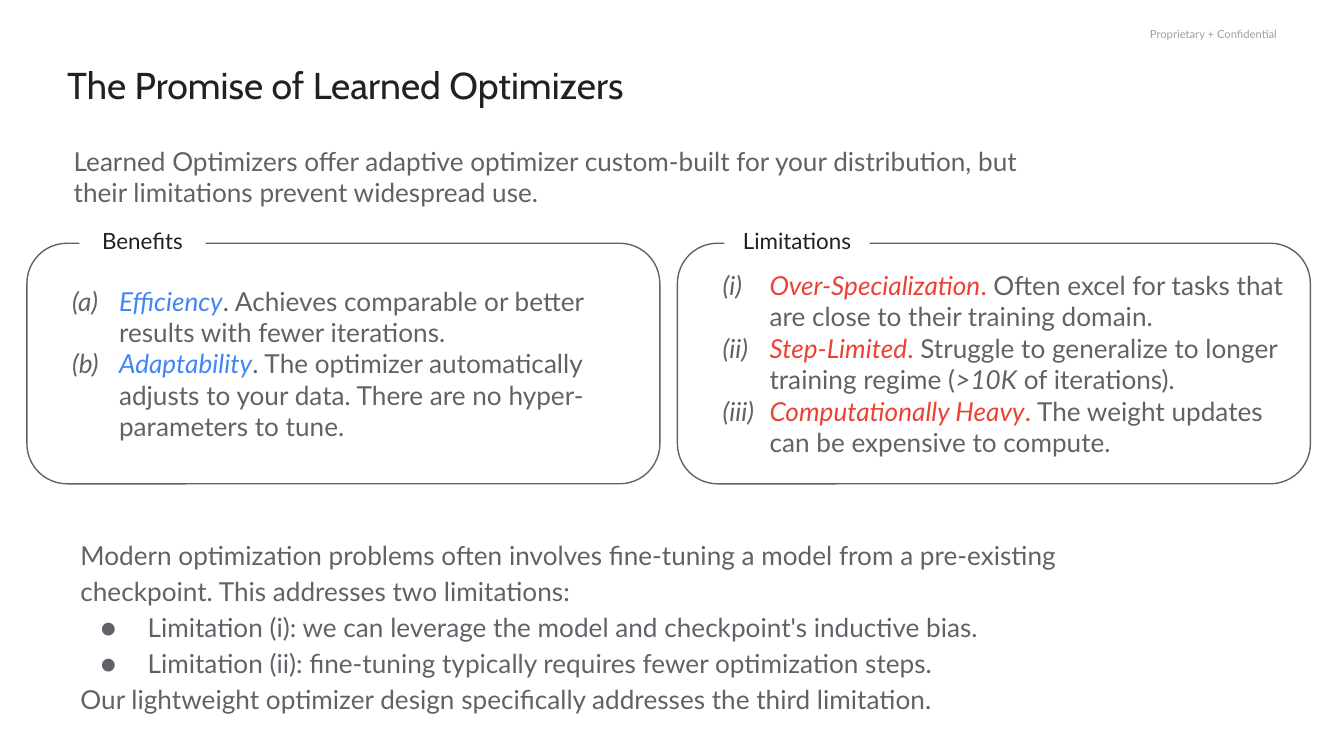
from dataclasses import dataclass
from typing import Optional

from lxml.etree import SubElement
from pptx import Presentation
from pptx.dml.color import RGBColor
from pptx.enum.shapes import MSO_SHAPE as Shape
from pptx.enum.text import MSO_ANCHOR as Anchor, MSO_AUTO_SIZE as AutoSize, PP_ALIGN as Align
from pptx.oxml.ns import qn
from pptx.util import Inches, Pt

COLORS = {"ink": "202124", "gray": "5F6368", "pale": "9AA0A6",
          "blue": "4285F4", "red": "EA4335", "white": "FFFFFF"}
WIDTH, HEIGHT = Inches(10), Inches(5.625)
COLUMN, ROW = WIDTH / 100, HEIGHT / 56.25  # square grid cells


@dataclass(frozen=True)
class Area:
    """A place on the slide, in grid columns and rows."""
    column: float
    row: float
    columns: float
    rows: float

    def place(self) -> tuple[int, int, int, int]:
        return (round(self.column * COLUMN), round(self.row * ROW),
                round(self.columns * COLUMN), round(self.rows * ROW))


@dataclass(frozen=True)
class Span:
    text: str
    color: str = "gray"
    italic: bool = False


@dataclass(frozen=True)
class Line:
    spans: list[Span]
    bullet: Optional[str] = None  # a character or a numbering scheme


@dataclass(frozen=True)
class Card:
    column: float
    label: str
    label_column: float
    label_columns: float
    lines: list[Line]


def rgb(name: str) -> RGBColor:
    return RGBColor.from_string(COLORS[name])


def add_bullet(para, bullet: str) -> None:
    props = para._p.get_or_add_pPr()
    props.set("marL", str(Inches(0.5)))
    props.set("indent", str(Inches(-0.35)))
    SubElement(SubElement(props, qn("a:buClr")), qn("a:srgbClr")).set("val", COLORS["gray"])
    SubElement(props, qn("a:buFont")).set("typeface", "Lato")
    if len(bullet) == 1:
        SubElement(props, qn("a:buChar")).set("char", bullet)
    else:
        SubElement(props, qn("a:buAutoNum")).set("type", bullet)


def write(shape, lines: list[Line], size: float = 14, font: str = "Lato",
          align=Align.LEFT, anchor=Anchor.TOP, inset: float = 0.1,
          spacing: float = 1.0) -> None:
    frame = shape.text_frame
    frame.word_wrap = True
    frame.auto_size = AutoSize.NONE
    frame.vertical_anchor = anchor
    frame.margin_left = frame.margin_right = Inches(inset)
    frame.margin_top = frame.margin_bottom = Inches(inset)
    for number, line in enumerate(lines):
        para = frame.add_paragraph() if number else frame.paragraphs[0]
        if line.bullet:
            add_bullet(para, line.bullet)
        para.alignment = align
        para.line_spacing = spacing
        for span in line.spans:
            run = para.add_run()
            run.text = span.text
            run.font.name = font
            run.font.size = Pt(size)
            run.font.italic = span.italic
            run.font.color.rgb = rgb(span.color)


def add_text(page, area: Area, lines: list[Line], **style) -> None:
    write(page.shapes.add_textbox(*area.place()), lines, **style)


def add_card(page, card: Card) -> None:
    # Outlined body
    body = page.shapes.add_shape(Shape.ROUNDED_RECTANGLE,
                                 *Area(card.column, 18.1, 47.1, 17.9).place())
    body.adjustments[0] = 0.167
    body.shadow.inherit = False
    body.fill.background()
    body.line.color.rgb = rgb("gray")
    body.line.width = Pt(0.75)
    write(body, card.lines, anchor=Anchor.MIDDLE)

    # Label that interrupts the top edge
    label = page.shapes.add_shape(Shape.RECTANGLE,
                                  *Area(card.label_column, 15.9, card.label_columns, 4).place())
    label.shadow.inherit = False
    label.fill.solid()
    label.fill.fore_color.rgb = rgb("white")
    label.line.fill.background()
    write(label, [Line([Span(card.label, "ink")])], size=12, align=Align.CENTER)


def benefit(name: str, text: str) -> Line:
    return Line([Span(name, "blue", True), Span(". " + text)], "alphaLcParenBoth")


def limitation(name: str, *details: Span) -> Line:
    return Line([Span(name, "red", True), Span(".", "red"), *details], "romanLcParenBoth")


CARDS = [
    Card(2, "Benefits", 5.9, 9.4, [
        benefit("Efficiency", "Achieves comparable or better results with fewer iterations."),
        benefit("Adaptability", "The optimizer automatically adjusts to your data. "
                "There are no hyper-parameters to tune."),
    ]),
    Card(50.4, "Limitations", 53.9, 10.8, [
        limitation("Over-Specialization",
                   Span(" Often excel for tasks that are close to their training domain.")),
        limitation("Step-Limited", Span(" Struggle to generalize to longer training regime ("),
                   Span(">10K", italic=True), Span(" of iterations).")),
        limitation("Computationally Heavy",
                   Span(" The weight updates can be expensive to compute.")),
    ]),
]

INTRO = [Line([Span("Learned Optimizers offer adaptive optimizer custom-built for your "
                    "distribution, but their limitations prevent widespread use.")])]

CLOSING = [
    Line([Span("Modern optimization problems often involves fine-tuning a model from a "
               "pre-existing checkpoint. This addresses two limitations:")]),
    Line([Span("Limitation (i): we can leverage the model and checkpoint's inductive bias.")], "●"),
    Line([Span("Limitation (ii): fine-tuning typically requires fewer optimization steps.")], "●"),
    Line([Span("Our lightweight optimizer design specifically addresses the third limitation.")]),
]


def main() -> None:
    deck = Presentation()
    deck.slide_width, deck.slide_height = WIDTH, HEIGHT
    page = deck.slides.add_slide(deck.slide_layouts[5])

    # Confidentiality mark and title
    add_text(page, Area(73.2, 2, 21.8, 1), [Line([Span("Proprietary + Confidential", "pale")])],
             size=6, align=Align.RIGHT, anchor=Anchor.MIDDLE, inset=0)
    title = page.shapes.title
    title.left, title.top, title.width, title.height = Area(5, 5, 59.7, 3).place()
    write(title, [Line([Span("The Promise of Learned Optimizers", "ink")])],
          size=20, font="Cabin", inset=0, spacing=0.9)

    # Introduction, the two cards and the closing remarks
    add_text(page, Area(4.5, 9.8, 74.5, 6.7), INTRO)
    for card in CARDS:
        add_card(page, card)
    add_text(page, Area(5, 38.8, 81.2, 17.4), CLOSING, spacing=1.15)

    deck.save("out.pptx")


if __name__ == "__main__":
    main()
